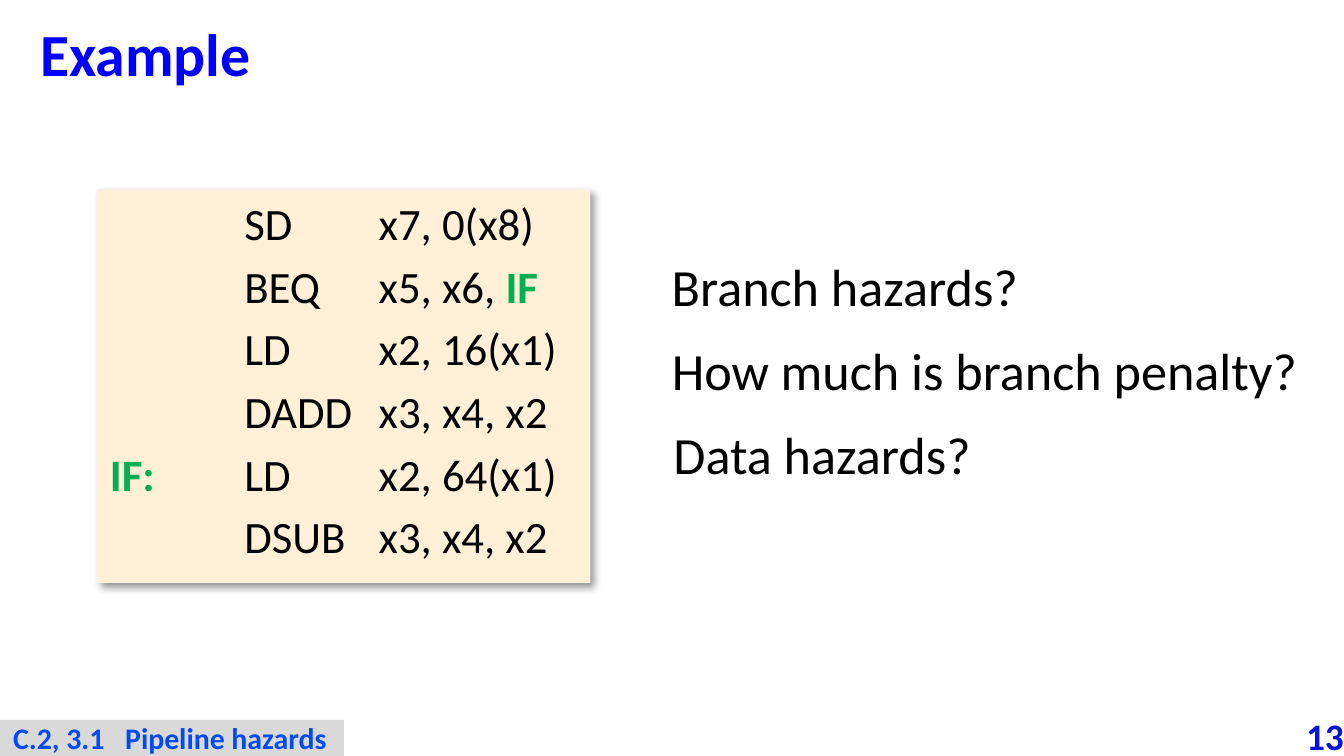
import pptx
import pptx.dml.color
import pptx.enum.shapes
import pptx.enum.text
import pptx.oxml
import pptx.oxml.ns
import pptx.util
from lxml import etree

Pt = pptx.util.Pt
RGBColor = pptx.dml.color.RGBColor
PP_ALIGN = pptx.enum.text.PP_ALIGN
MSO_ANCHOR = pptx.enum.text.MSO_ANCHOR
RECT = pptx.enum.shapes.MSO_SHAPE.RECTANGLE

BLUE = RGBColor(0x00, 0x00, 0xFF)
PAGE_BLUE = RGBColor(0x07, 0x12, 0xD9)
FOOTER_BLUE = RGBColor(0x00, 0x4B, 0xF3)
GREEN = RGBColor(0x00, 0xB0, 0x50)
BLACK = RGBColor(0x00, 0x00, 0x00)
CREAM = RGBColor(0xFF, 0xF0, 0xD7)
GRAY = RGBColor(0xD9, 0xD9, 0xD9)

# Content
TITLE = "Example"
PAGE = "13"
FOOTER = "C.2, 3.1\tPipeline hazards"
LABEL = "IF"
CODE = [  # label, operation, operands, branch target
    ("", "SD", "x7, 0(x8)", ""),
    ("", "BEQ", "x5, x6, ", LABEL),
    ("", "LD", "x2, 16(x1)", ""),
    ("", "DADD", "x3, x4, x2", ""),
    (LABEL + ":", "LD", "x2, 64(x1)", ""),
    ("", "DSUB", "x3, x4, x2", ""),
]
QUESTIONS = [  # text, left, width
    ("Branch hazards?", 352.8, 202),
    ("How much is branch penalty?", 352.8, 353),
    ("Data hazards?", 353.7, 176),
]
QUESTION_TOP, QUESTION_STEP, QUESTION_HEIGHT = 132.5, 45.2, 41

# Text formats
TITLE_FONT = dict(size=Pt(32), bold=True, color=BLUE)
PAGE_FONT = dict(size=Pt(20), bold=True, color=PAGE_BLUE)
FOOTER_FONT = dict(size=Pt(16), bold=True, color=FOOTER_BLUE)
CODE_FONT = dict(size=Pt(24), bold=False, color=BLACK)
LABEL_FONT = dict(CODE_FONT, bold=True, color=GREEN)
QUESTION_FONT = dict(size=Pt(28), bold=False, color=BLACK)


def add_box(slide, left, top, width, height, fill=None, **frame):
    """Add a text box, or a filled rectangle, with left-aligned text."""
    at = [Pt(v) for v in (left, top, width, height)]
    if fill is None:
        sp = slide.shapes.add_textbox(*at)
    else:
        sp = slide.shapes.add_shape(RECT, *at)
        sp.shadow.inherit = False
        sp.fill.solid()
        sp.fill.fore_color.rgb = fill
        sp.line.fill.background()
    tf = sp.text_frame
    for name, value in dict(dict(word_wrap=True, vertical_anchor=MSO_ANCHOR.TOP), **frame).items():
        setattr(tf, name, value)
    tf.paragraphs[0].alignment = PP_ALIGN.LEFT
    return sp


def add_run(p, text, font):
    r = p.add_run()
    r.text = text
    r.font.name = "Calibri"
    for name, value in font.items():
        if name == "color":
            r.font.color.rgb = value
        else:
            setattr(r.font, name, value)


def add_tabs(p, *stops):
    tabs = etree.SubElement(p._p.get_or_add_pPr(), pptx.oxml.ns.qn("a:tabLst"))
    for stop in stops:
        etree.SubElement(tabs, pptx.oxml.ns.qn("a:tab"), pos=str(Pt(stop)), algn="l")


def add_shadow(sp):
    effects = sp._element.spPr.find(pptx.oxml.ns.qn("a:effectLst"))
    effects.append(pptx.oxml.parse_xml(
        f'<a:outerShdw {pptx.oxml.ns.nsdecls("a")} blurRad="{Pt(4)}" dist="{Pt(3)}" '
        'dir="2700000" algn="tl" rotWithShape="0">'
        '<a:srgbClr val="000000"><a:alpha val="40000"/></a:srgbClr></a:outerShdw>'))


prs = pptx.Presentation()
prs.slide_width, prs.slide_height = Pt(720), Pt(405)
s = prs.slides.add_slide(prs.slide_layouts[6])

# Page number
no_margins = dict(margin_left=0, margin_top=0, margin_right=0, margin_bottom=0)
sp = add_box(s, 674.6, 382.3, 45.4, 24.5, **no_margins)
p = sp.text_frame.paragraphs[0]
p.alignment = PP_ALIGN.RIGHT
add_run(p, PAGE, PAGE_FONT)

# Title
sp = add_box(s, 14.4, 5, 692, 46, vertical_anchor=MSO_ANCHOR.MIDDLE)
add_run(sp.text_frame.paragraphs[0], TITLE, TITLE_FONT)

# Code listing: labels, operations and operands in tabbed columns
sp = add_box(s, 51.8, 101.3, 264.5, 211, fill=CREAM)
add_shadow(sp)
tf = sp.text_frame
for i, (label, operation, operands, target) in enumerate(CODE):
    p = tf.add_paragraph() if i else tf.paragraphs[0]
    p.alignment = PP_ALIGN.LEFT
    if i:
        p.space_before = Pt(4.8)
    add_tabs(p, 72, 144)
    if label:
        add_run(p, label, LABEL_FONT)
    add_run(p, f"\t{operation}\t{operands}", CODE_FONT)
    if target:
        add_run(p, target, LABEL_FONT)

# Questions
for i, (text, left, width) in enumerate(QUESTIONS):
    sp = add_box(s, left, QUESTION_TOP + i * QUESTION_STEP, width, QUESTION_HEIGHT, word_wrap=False)
    add_run(sp.text_frame.paragraphs[0], text, QUESTION_FONT)

# Footer
sp = add_box(s, 0, 385.7, 184.3, 19.3, fill=GRAY, margin_top=0, margin_bottom=0)
p = sp.text_frame.paragraphs[0]
add_tabs(p, 60)
add_run(p, FOOTER, FOOTER_FONT)

prs.save("out.pptx")
